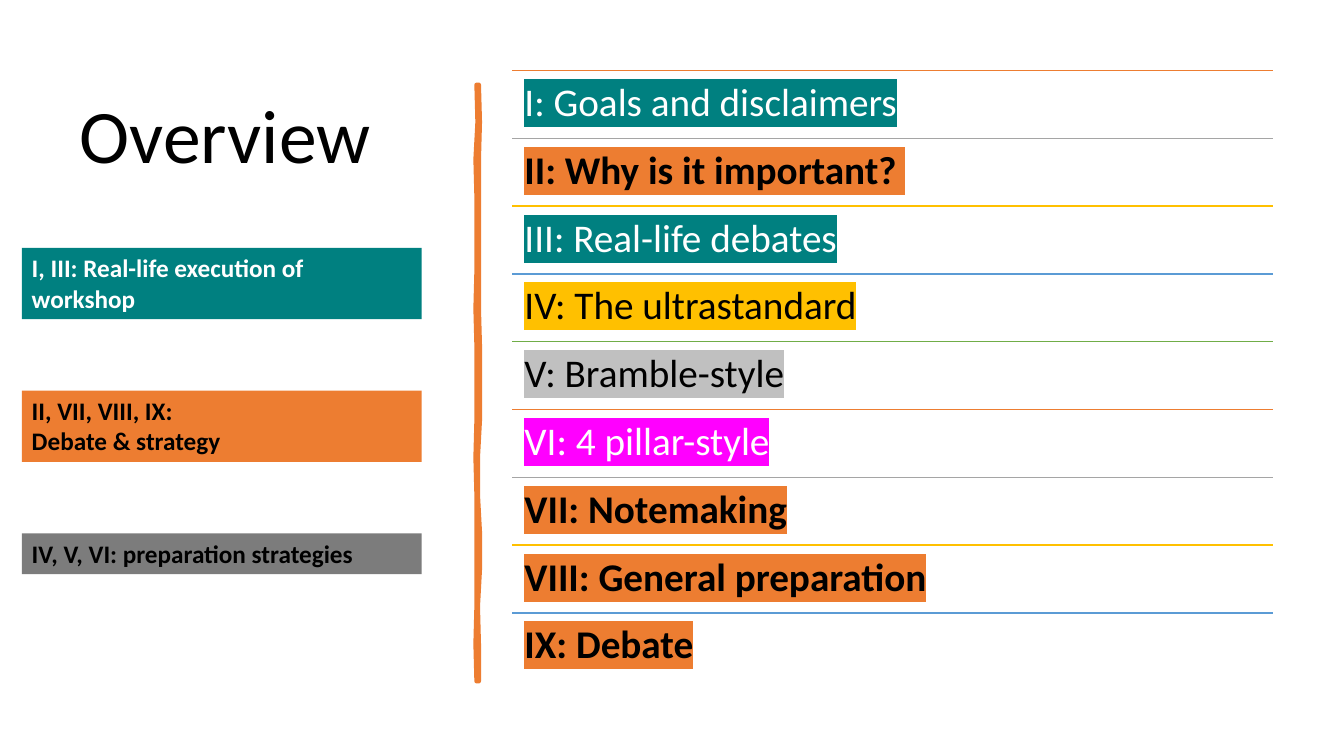
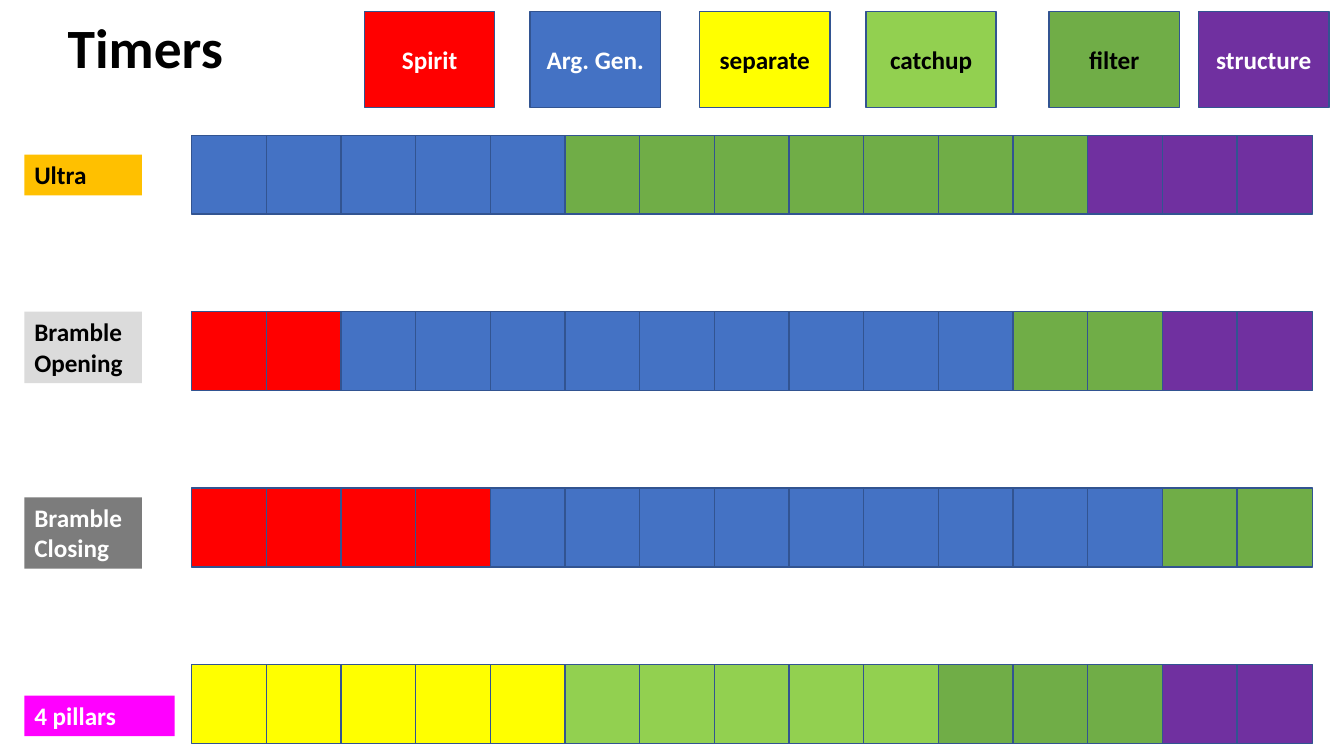
from lxml import etree
from pptx import Presentation
from pptx.dml.color import RGBColor
from pptx.enum.shapes import MSO_CONNECTOR, MSO_SHAPE
from pptx.enum.text import MSO_ANCHOR, PP_ALIGN
from pptx.oxml.ns import qn
from pptx.util import Inches, Pt

RECT = MSO_SHAPE.RECTANGLE
STRAIGHT = MSO_CONNECTOR.STRAIGHT
TOP, MIDDLE = MSO_ANCHOR.TOP, MSO_ANCHOR.MIDDLE
LEFT, CENTER = PP_ALIGN.LEFT, PP_ALIGN.CENTER

FONT = "Calibri"
BLACK, WHITE = "000000", "FFFFFF"
TEAL, ORANGE, GOLD = "008080", "ED7D31", "FFC000"
GREY, SILVER, PALE, DARK = "A5A5A5", "C0C0C0", "DBDBDB", "7C7C7C"
SKY, BLUE, NAVY = "5B9BD5", "4472C4", "325491"
GREEN, LIME, PURPLE = "70AD47", "92D050", "7030A0"
RED, YELLOW, MAGENTA = "FF0000", "FFFF00", "FF00FF"

SLIDE_W, SLIDE_H = Inches(13.333), Inches(7.5)
COLUMNS = 160
ONE_LINE, TWO_LINES = 4.85, 8.5

AGENDA = [
    ("I: Goals and disclaimers", TEAL, WHITE, False),
    ("II: Why is it important? ", ORANGE, BLACK, True),
    ("III: Real-life debates", TEAL, WHITE, False),
    ("IV: The ultrastandard", GOLD, BLACK, False),
    ("V: Bramble-style", SILVER, BLACK, False),
    ("VI: 4 pillar-style", MAGENTA, WHITE, False),
    ("VII: Notemaking", ORANGE, BLACK, True),
    ("VIII: General preparation", ORANGE, BLACK, True),
    ("IX: Debate", ORANGE, BLACK, True),
]
RULES = [ORANGE, GREY, GOLD, SKY, GREEN]

CATEGORIES = [
    ("I, III: Real-life execution of workshop", TEAL, WHITE, TWO_LINES),
    ("II, VII, VIII, IX:\nDebate & strategy", ORANGE, BLACK, TWO_LINES),
    ("IV, V, VI: preparation strategies", DARK, BLACK, ONE_LINE),
]

RIGHT_WOBBLE = [0, 1, 0, 0, 0, 0, 0, 1, 1, 1, -1, -1, 1, 1, -1, 0, 0]
LEFT_WOBBLE = [0, 1, -1, 0, 0, 0, -1, 0, 0, 0, -1, 0, 0, 0, 0, -1, 0]

PHASES = [
    ("Spirit", 43.4, RED, WHITE),
    ("Arg. Gen.", 63.1, BLUE, WHITE),
    ("separate", 83.3, YELLOW, BLACK),
    ("catchup", 103.1, LIME, BLACK),
    ("filter", 124.9, GREEN, BLACK),
    ("structure", 142.7, PURPLE, WHITE),
]

TIMERS = [
    ("Ultra", (18.4, 14, ONE_LINE), GOLD, BLACK,
     [(BLUE, 5), (GREEN, 7), (PURPLE, 3)]),
    ("Bramble Opening", (37.1, 14, TWO_LINES), PALE, BLACK,
     [(RED, 2), (BLUE, 9), (GREEN, 2), (PURPLE, 2)]),
    ("Bramble Closing", (59.2, 14, TWO_LINES), DARK, WHITE,
     [(RED, 4), (BLUE, 9), (GREEN, 2)]),
    ("4 pillars", (82.8, 17.9, ONE_LINE), MAGENTA, WHITE,
     [(YELLOW, 5), (LIME, 5), (GREEN, 3), (PURPLE, 2)]),
]


def grid(*cells):
    return [round(cell * SLIDE_W / COLUMNS) for cell in cells]


def rgb(value):
    return RGBColor.from_string(value)


def highlight(run, color):
    mark = etree.Element(qn("a:highlight"))
    etree.SubElement(mark, qn("a:srgbClr"), val=color)
    run.font.fill._xPr.find(qn("a:solidFill")).addnext(mark)


def write(frame, text, size=18, color=BLACK, bold=False, align=LEFT,
          anchor=TOP, spacing=1.0, inset=None, marker=None):
    frame.word_wrap = True
    frame.vertical_anchor = anchor
    if inset is not None:
        frame.margin_left = frame.margin_right = Inches(inset)
        frame.margin_top = frame.margin_bottom = Inches(inset)
    for index, line in enumerate(text.split("\n")):
        paragraph = frame.paragraphs[0] if index == 0 else frame.add_paragraph()
        paragraph.alignment = align
        paragraph.line_spacing = spacing
        run = paragraph.add_run()
        run.text = line
        run.font.size = Pt(size)
        run.font.bold = bold
        run.font.color.rgb = rgb(color)
        run.font.name = FONT
        if marker:
            highlight(run, marker)


def add_text(slide, area, text, **style):
    write(slide.shapes.add_textbox(*grid(*area)).text_frame, text, **style)


def add_title(slide, area, text, **style):
    add_text(slide, area, text, anchor=MIDDLE, spacing=0.9, **style)


def add_block(slide, area, fill, text=None, outline=None, **style):
    block = slide.shapes.add_shape(RECT, *grid(*area))
    block.shadow.inherit = False
    block.fill.solid()
    block.fill.fore_color.rgb = rgb(fill)
    if outline:
        block.line.color.rgb = rgb(outline)
        block.line.width = Pt(1)
    else:
        block.line.fill.background()
    if text:
        write(block.text_frame, text, bold=True, **style)


def add_rule(slide, left, top, width, color):
    rule = slide.shapes.add_connector(STRAIGHT, *grid(left, top, left + width, top))
    rule.line.color.rgb = rgb(color)
    rule.line.width = Pt(1)
    etree.SubElement(rule._element.spPr, qn("a:effectLst"))


def add_brush_stroke(slide, left, right, top, height):
    step = height / (len(RIGHT_WOBBLE) - 1)

    def edge(base, wobble):
        return [tuple(grid(base + 0.12 * shift, top + index * step))
                for index, shift in enumerate(wobble)]

    outline = edge(right, RIGHT_WOBBLE) + edge(left, LEFT_WOBBLE)[::-1]
    builder = slide.shapes.build_freeform(*outline[0])
    builder.add_line_segments(outline[1:], close=True)
    stroke = builder.convert_to_shape()
    stroke.shadow.inherit = False
    stroke.fill.solid()
    stroke.fill.fore_color.rgb = rgb(ORANGE)
    stroke.line.color.rgb = rgb(ORANGE)
    stroke.line.width = Pt(3.25)


def add_timer_bar(slide, top, phases):
    colors = [color for color, count in phases for _ in range(count)]
    for index, color in enumerate(colors):
        add_block(slide, (22.8 + index * 8.89, top, 9, 9.4), color, outline=NAVY)


def build_overview(slide):
    add_title(slide, (8.3, 8.4, 44.9, 16.3), "Overview", size=54)
    add_brush_stroke(slide, 56.75, 57, 10.1, 71)
    left, width, pitch = 61, 90.6, 8.07
    for index, (item, marker, color, bold) in enumerate(AGENDA):
        top = 8.4 + index * pitch
        add_rule(slide, left, top, width, RULES[index % len(RULES)])
        add_text(slide, (left, top, width, pitch), item, size=28, color=color,
                 bold=bold, spacing=0.9, inset=0.12, marker=marker)
    for index, (category, fill, color, height) in enumerate(CATEGORIES):
        add_block(slide, (2.6, 29.5 + index * 17, 47.6, height), fill, category,
                  color=color)


def build_timers(slide):
    add_title(slide, (2.3, 1.7, 30, 8.6), "Timers", size=39.6, bold=True,
              align=CENTER)
    for index, (name, (top, width, height), fill, color, phases) in enumerate(TIMERS):
        add_timer_bar(slide, 16.1 + index * 21, phases)
        add_block(slide, (2.9, top, width, height), fill, name, color=color)
    for phase, left, fill, color in PHASES:
        add_block(slide, (left, 1.4, 15.5, 11.4), fill, phase, outline=NAVY,
                  color=color, align=CENTER, anchor=MIDDLE)


def main():
    deck = Presentation()
    deck.slide_width, deck.slide_height = SLIDE_W, SLIDE_H
    blank = deck.slide_layouts[6]
    for build in (build_overview, build_timers):
        build(deck.slides.add_slide(blank))
    deck.save("out.pptx")


if __name__ == "__main__":
    main()
